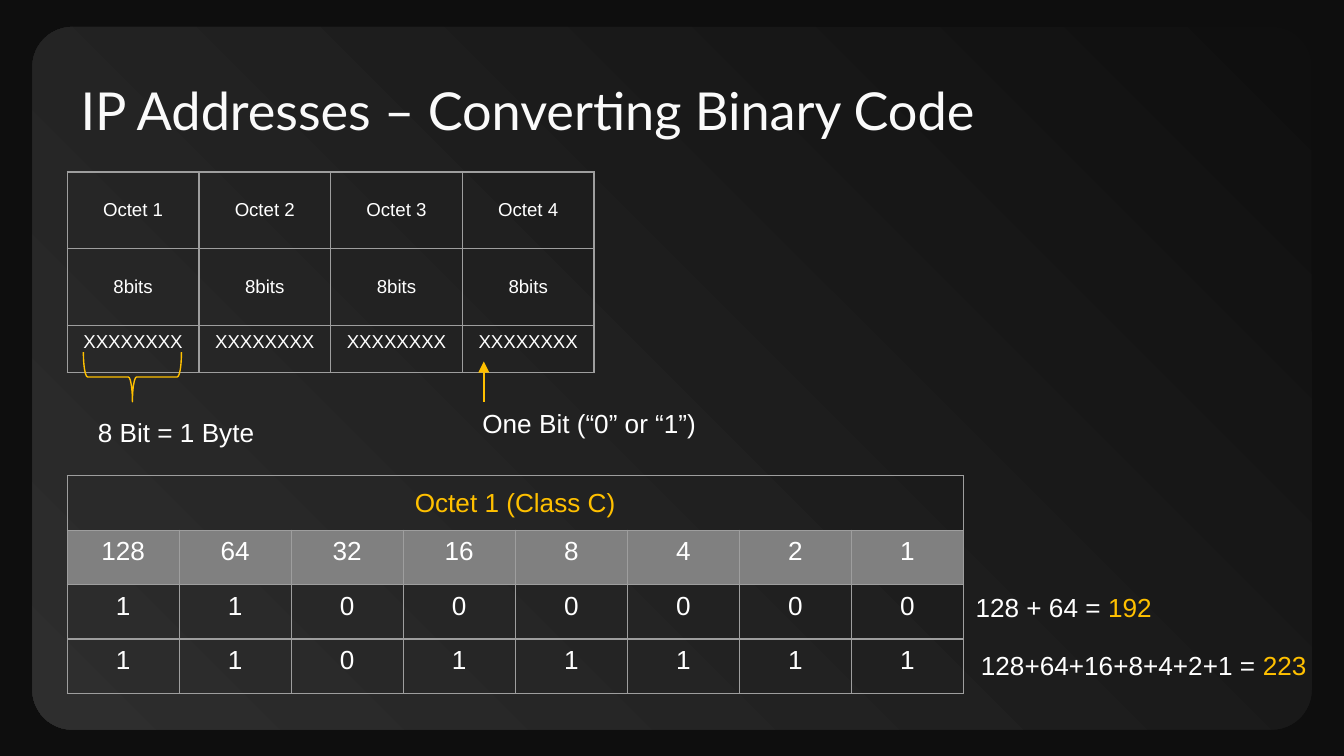
from lxml import etree
from pptx import Presentation
from pptx import util as u
from pptx.dml.color import RGBColor
from pptx.enum import shapes, text
from pptx.oxml.ns import qn

WIDTH, HEIGHT = 10, 10 * 9 / 16
WHITE, GOLD, GREY, RULE = "FFFFFF", "FFC000", "808080", "9E9E9E"
TITLE = "IP Addresses – Converting Binary Code"
OCTETS = [
    [f"Octet {n}" for n in range(1, 5)],
    ["8bits"] * 4,
    ["XXXXXXXX"] * 4,
]
BITS = [
    ["Octet 1 (Class C)"] + [""] * 7,
    [str(2 ** n) for n in range(7, -1, -1)],
    list("11000000"),
    list("11011111"),
]
# left, top, width, wrap, runs of (words, colour)
LABELS = [
    (3.49, 2.98, 2.18, True, [("One Bit (“0” or “1”)", WHITE)]),
    (0.63, 3.05, 2.18, True, [("8 Bit = 1 Byte", WHITE)]),
    (7.16, 4.35, 1.52, False, [("128 + 64 = ", WHITE), ("192", GOLD)]),
    (7.2, 4.78, 2.63, False, [("128+64+16+8+4+2+1 = ", WHITE), ("223", GOLD)]),
]


def rgb(value):
    return RGBColor.from_string(value)


def inches(*values):
    return [u.Inches(v) for v in values]


def write(p, words, color, size, font="Arial"):
    r = p.add_run()
    r.text = words
    for name, value in {"size": u.Pt(size), "name": font, "bold": False}.items():
        setattr(r.font, name, value)
    r.font.color.rgb = rgb(color)


def outline(line, color=GOLD):
    line.color.rgb = rgb(color)
    line.width = u.Pt(0.75)


def add_borders(cell):
    tc_pr = cell._tc.get_or_add_tcPr()
    for side in ("lnL", "lnR", "lnT", "lnB"):
        ln = etree.SubElement(tc_pr, qn(f"a:{side}"), w=str(u.Pt(0.75)))
        fill = etree.SubElement(ln, qn("a:solidFill"))
        etree.SubElement(fill, qn("a:srgbClr"), val=RULE)


def add_grid(s, rows, left, top, col_width, heights, size, centred_rows):
    """Add a ruled table; the first centred_rows rows are anchored in the middle."""
    n_cols = len(rows[0])
    box = inches(left, top, col_width * n_cols, sum(heights))
    table = s.shapes.add_table(len(rows), n_cols, *box).table
    table.first_row = table.horz_banding = False
    for col in table.columns:
        col.width = u.Inches(col_width)
    for i, (row, height) in enumerate(zip(rows, heights)):
        table.rows[i].height = u.Inches(height)
        for cell, words in zip(table.rows[i].cells, row):
            add_borders(cell)
            cell.fill.background()
            middle = i < centred_rows
            cell.vertical_anchor = text.MSO_ANCHOR.MIDDLE if middle else text.MSO_ANCHOR.TOP
            p = cell.text_frame.paragraphs[0]
            p.alignment = text.PP_ALIGN.CENTER
            if words:
                write(p, words, WHITE, size)
    return table


def add_card(s):
    sp = s.shapes.add_shape(shapes.MSO_SHAPE.ROUNDED_RECTANGLE, *inches(0.24, 0.2, 9.52, 5.23))
    sp.adjustments[0] = 0.057
    sp.shadow.inherit = False
    sp.line.fill.background()
    sp.fill.gradient()
    sp.fill.gradient_angle = 225
    for stop, color in zip(sp.fill.gradient_stops, ("0F0F0F", "2E2E2E")):
        stop.color.rgb = rgb(color)


def add_title(s):
    sp = s.shapes.title
    sp.left, sp.top, sp.width, sp.height = inches(0.5, 0.5, 9.01, 0.63)
    tf = sp.text_frame
    for side in ("left", "top", "right", "bottom"):
        setattr(tf, f"margin_{side}", u.Inches(0.1))
    tf.vertical_anchor = text.MSO_ANCHOR.MIDDLE
    tf.auto_size = text.MSO_AUTO_SIZE.NONE
    p = tf.paragraphs[0]
    p.alignment = text.PP_ALIGN.LEFT
    write(p, TITLE, "FAFAFA", 28, "Lato")
    s.shapes._spTree.append(sp._element)  # in front of the card


def add_arrow(s):
    cx = s.shapes.add_connector(shapes.MSO_CONNECTOR.STRAIGHT, *inches(3.6, 2.99, 3.6, 2.69))
    outline(cx.line)
    etree.SubElement(cx.line._get_or_add_ln(), qn("a:tailEnd"), type="triangle")
    etree.SubElement(cx._element.spPr, qn("a:effectLst"))


def add_brace(s):
    sp = s.shapes.add_shape(shapes.MSO_SHAPE.RIGHT_BRACE, *inches(0.8, 2.44, 0.37, 0.73))
    sp.rotation = 90
    sp.shadow.inherit = False
    sp.fill.background()
    outline(sp.line)


def add_label(s, left, top, width, wrap, runs):
    tf = s.shapes.add_textbox(*inches(left, top, width, 0.34)).text_frame
    tf.word_wrap = wrap
    tf.auto_size = text.MSO_AUTO_SIZE.SHAPE_TO_FIT_TEXT
    for words, color in runs:
        write(tf.paragraphs[0], words, color, 14)


def main():
    prs = Presentation()
    prs.slide_width, prs.slide_height = inches(WIDTH, HEIGHT)
    s = prs.slides.add_slide(prs.slide_layouts[5])
    s.background.fill.solid()
    s.background.fill.fore_color.rgb = rgb("0E0E0E")

    add_card(s)
    add_title(s)
    add_grid(s, OCTETS, 0.5, 1.28, 0.98, [0.57, 0.57, 0.35], 10, centred_rows=2)
    add_arrow(s)
    bits = add_grid(s, BITS, 0.5, 3.54, 6.67 / 8, [1.62 / 4] * 4, 14, centred_rows=1)
    heading = bits.cell(0, 0)
    heading.merge(bits.cell(0, 7))
    heading.text_frame.paragraphs[0].runs[0].font.color.rgb = rgb(GOLD)
    for cell in bits.rows[1].cells:
        cell.fill.solid()
        cell.fill.fore_color.rgb = rgb(GREY)
    add_brace(s)
    for label in LABELS:
        add_label(s, *label)
    prs.save("out.pptx")


if __name__ == "__main__":
    main()
